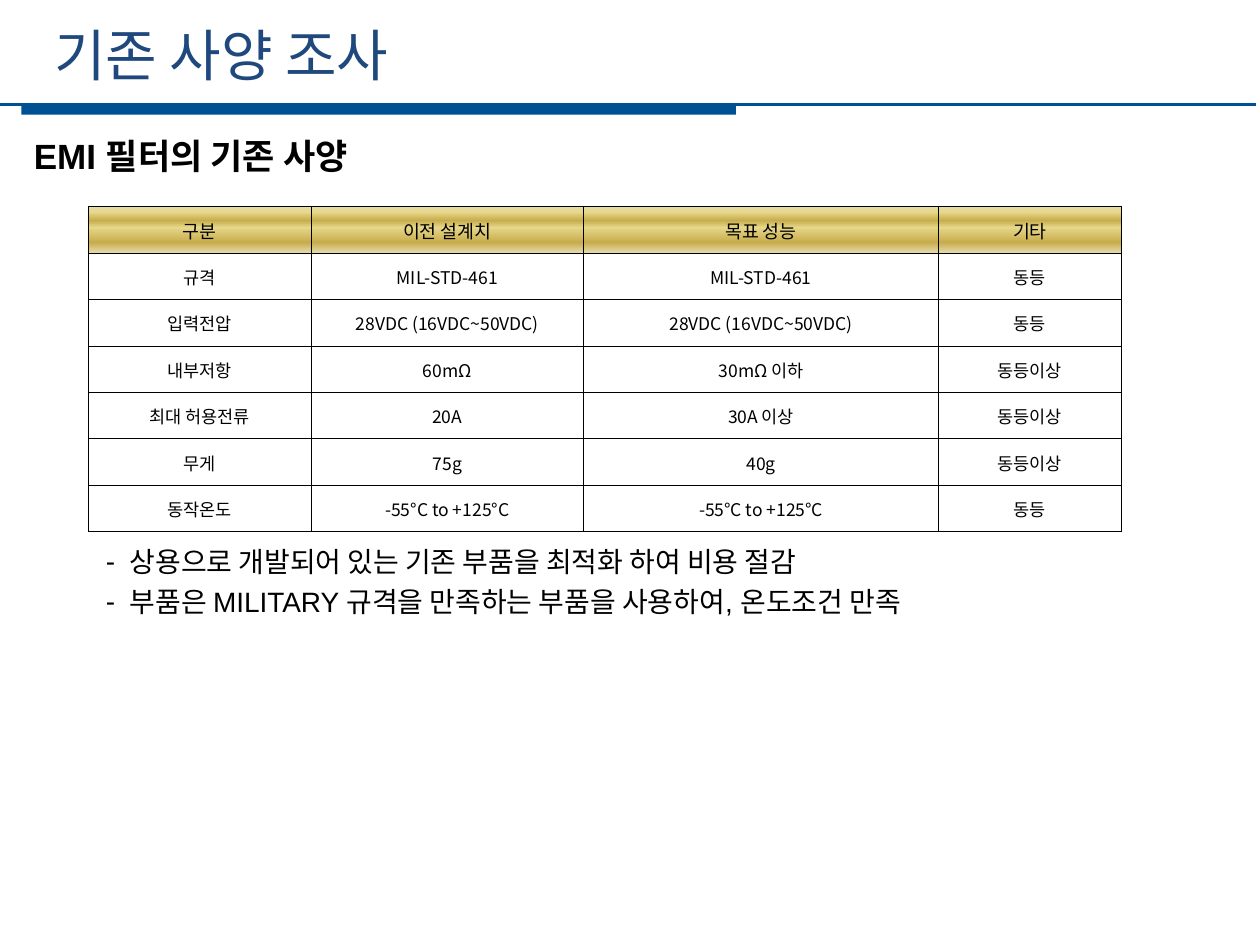
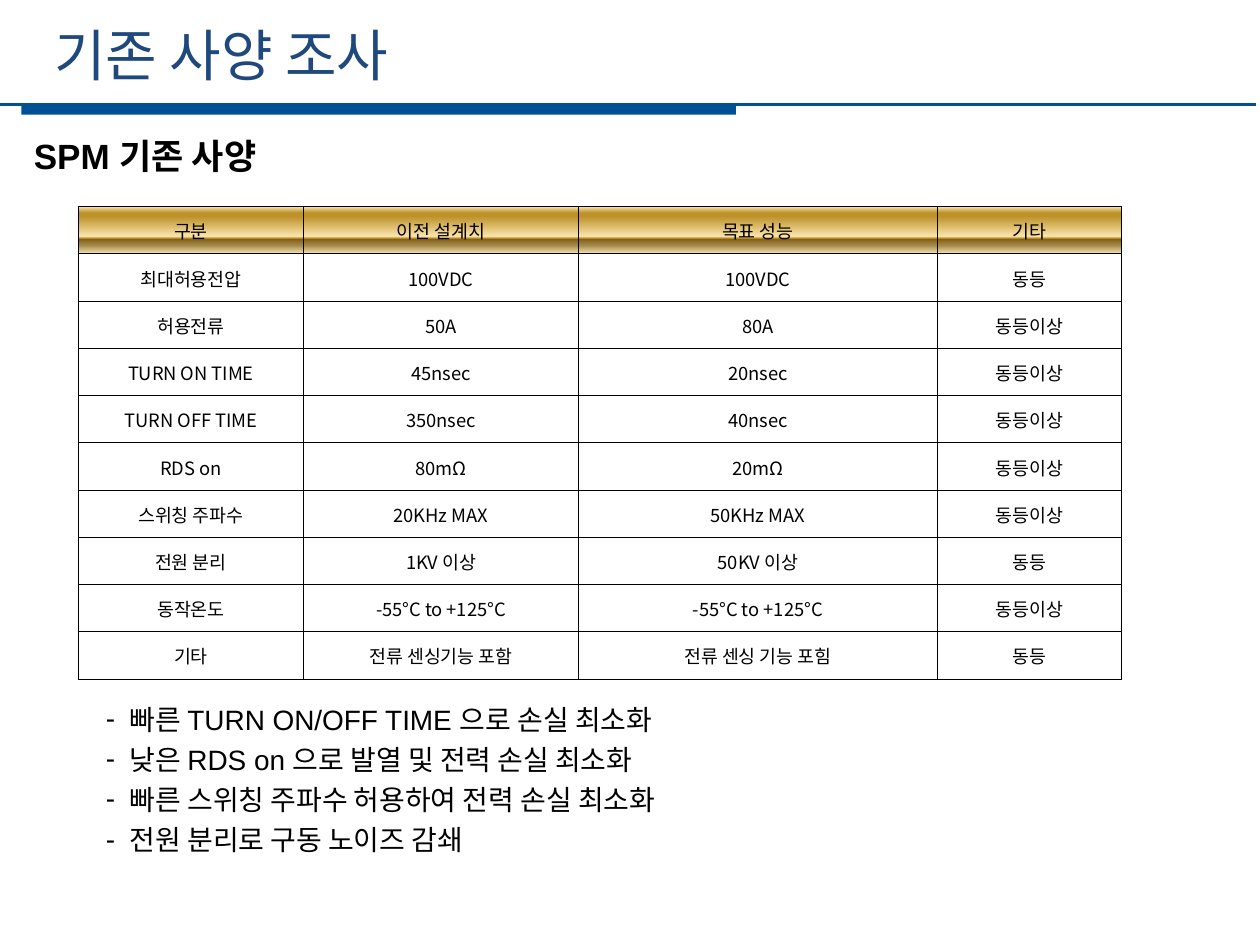
from lxml.etree import SubElement
from pptx import Presentation
from pptx.dml.color import RGBColor
from pptx.enum.shapes import MSO_CONNECTOR, MSO_SHAPE
from pptx.enum.text import MSO_ANCHOR, MSO_AUTO_SIZE, PP_ALIGN
from pptx.oxml.ns import qn
from pptx.util import Inches, Pt

KOREAN, LATIN = "Noto Sans CJK KR", "Arial"
BLUE, NAVY, BLACK = "005094", "1F497D", "000000"
PALE_GOLD = [(0, "E6DCAC"), (12, "E6D78A"), (30, "C7AC4C"), (45, "E6D78A"),
             (77, "C7AC4C"), (100, "E6DCAC")]
DEEP_GOLD = [(0, "FBE4AE"), (13, "BD922A"), (21, "BD922A"), (63, "FBE4AE"),
             (67, "BD922A"), (69, "835E17"), (82, "A28949"), (100, "FAE3B7")]
HEADER = ("구분", "이전 설계치", "목표 성능", "기타")
EMI_ROWS = [
    ("규격", "MIL-STD-461", "MIL-STD-461", "동등"),
    ("입력전압", "28VDC (16VDC~50VDC)", "28VDC (16VDC~50VDC)", "동등"),
    ("내부저항", "60mΩ", "30mΩ 이하", "동등이상"),
    ("최대 허용전류", "20A", "30A 이상", "동등이상"),
    ("무게", "75g", "40g", "동등이상"),
    ("동작온도", "-55°C to +125°C", "-55°C to +125°C", "동등"),
]
SPM_ROWS = [
    ("최대허용전압", "100VDC", "100VDC", "동등"),
    ("허용전류", "50A", "80A", "동등이상"),
    ("TURN ON TIME", "45nsec", "20nsec", "동등이상"),
    ("TURN OFF TIME", "350nsec", "40nsec", "동등이상"),
    ("RDS on", "80mΩ", "20mΩ", "동등이상"),
    ("스위칭 주파수", "20KHz MAX", "50KHz MAX", "동등이상"),
    ("전원 분리", "1KV 이상", "50KV 이상", "동등"),
    ("동작온도", "-55°C to +125°C", "-55°C to +125°C", "동등이상"),
    ("기타", "전류 센싱기능 포함", "전류 센싱 기능 포힘", "동등"),
]
EMI_NOTES = ["상용으로 개발되어 있는 기존 부품을 최적화 하여 비용 절감",
             "부품은 MILITARY 규격을 만족하는 부품을 사용하여, 온도조건 만족"]
SPM_NOTES = ["빠른 TURN ON/OFF TIME 으로 손실 최소화",
             "낮은 RDS on 으로 발열 및 전력 손실 최소화",
             "빠른 스위칭 주파수 허용하여 전력 손실 최소화",
             "전원 분리로 구동 노이즈 감쇄"]


def rgb(value):
    """Turn a hex string into a colour."""
    return RGBColor.from_string(value)


def place(sp, box):
    """Move and size a shape to a box in inches."""
    sp.left, sp.top, sp.width, sp.height = map(Inches, box)


def write(tf, lines, size=16, font=LATIN, color=BLACK, bold=False,
          align=PP_ALIGN.LEFT, anchor=MSO_ANCHOR.TOP, spacing=None, bullet=None):
    """Fill a text frame with formatted paragraphs."""
    tf.word_wrap = True
    tf.vertical_anchor = anchor
    for i, text in enumerate(lines):
        p = tf.paragraphs[0] if i == 0 else tf.add_paragraph()
        p.alignment = align
        p.space_before = Pt(0)
        if spacing:
            p.line_spacing = Pt(spacing)
        if bullet:
            pPr = p._p.get_or_add_pPr()
            pPr.set("marL", str(Inches(0.31)))
            pPr.set("indent", str(Inches(-0.19)))
            SubElement(pPr, qn("a:buChar"), char=bullet)
        r = p.add_run()
        r.text = text
        r.font.size, r.font.name, r.font.bold = Pt(size), font, bold
        r.font.color.rgb = rgb(color)
        SubElement(r._r.get_or_add_rPr(), qn("a:ea"), typeface=KOREAN)


def add_colour(parent, value):
    """Append a hex colour element."""
    SubElement(parent, qn("a:srgbClr"), val=value)


def add_borders(tcPr):
    """Give a cell thin black borders."""
    for side in ("lnL", "lnR", "lnT", "lnB"):
        ln = SubElement(tcPr, qn(f"a:{side}"), w=str(Pt(0.5)))
        add_colour(SubElement(ln, qn("a:solidFill")), BLACK)


def add_gradient(tcPr, stops):
    """Give a cell a vertical gradient."""
    grad = SubElement(tcPr, qn("a:gradFill"), rotWithShape="1")
    gsLst = SubElement(grad, qn("a:gsLst"))
    for pos, value in stops:
        add_colour(SubElement(gsLst, qn("a:gs"), pos=str(pos * 1000)), value)
    SubElement(grad, qn("a:lin"), ang="5400000", scaled="0")


def add_band(s, left, top):
    """Draw the rule and bar under the title."""
    bar = s.shapes.add_shape(MSO_SHAPE.RECTANGLE, Inches(left + 0.2), Inches(top),
                             Inches(5.67), Inches(0.08))
    bar.shadow.inherit = False
    bar.fill.solid()
    bar.fill.fore_color.rgb = rgb(BLUE)
    bar.line.fill.background()
    rule = s.shapes.add_connector(MSO_CONNECTOR.STRAIGHT, Inches(left), Inches(top),
                                  Inches(left + 10), Inches(top))
    rule.line.color.rgb = rgb(BLUE)
    rule.line.width = Pt(1.25)
    SubElement(rule._element.spPr, qn("a:effectLst"))


def add_spec_table(s, box, rows, widths, stops, size):
    """Add the comparison table with a gradient header."""
    rows = [HEADER, *rows]
    table = s.shapes.add_table(len(rows), len(HEADER), *map(Inches, box)).table
    table.first_row = table.horz_banding = False
    for col, width in zip(table.columns, widths):
        col.width = Inches(width)
    for i, row in enumerate(rows):
        table.rows[i].height = Inches(box[3] / len(rows))
        for j, text in enumerate(row):
            cell = table.cell(i, j)
            cell.margin_left = cell.margin_right = cell.margin_top = Inches(0.01)
            cell.margin_bottom = 0
            cell.vertical_anchor = MSO_ANCHOR.MIDDLE
            write(cell.text_frame, [text], size=size if i else 10.5, font=KOREAN,
                  align=PP_ALIGN.CENTER, anchor=None)
            cell.vertical_anchor = MSO_ANCHOR.MIDDLE
            tcPr = cell._tc.get_or_add_tcPr()
            add_borders(tcPr)
            if i:
                cell.fill.background()
            else:
                add_gradient(tcPr, stops)


def add_spec_slide(prs, heading, notes, notes_box, **table):
    """Build a slide with title, heading, table and notes."""
    s = prs.slides.add_slide(prs.slide_layouts[1])
    add_band(s, -0.03, 0.83)
    title, body = s.shapes.title, s.placeholders[1]
    place(title, (0.33, 0.11, 8.96, 0.64))
    title.text_frame.auto_size = MSO_AUTO_SIZE.NONE
    write(title.text_frame, ["기존 사양 조사"], size=32, font=KOREAN, color=NAVY)
    sp = s.shapes.add_textbox(*map(Inches, (0.17, 1.03, 9.52, 0.42)))
    write(sp.text_frame, [heading], size=20, bold=True, spacing=23)
    add_spec_table(s, **table)
    place(body, notes_box)
    body.text_frame.auto_size = MSO_AUTO_SIZE.NONE
    write(body.text_frame, notes, spacing=23, bullet="-")


def main():
    """Build and save the deck."""
    prs = Presentation()
    prs.slide_width, prs.slide_height = Inches(10), Inches(7.5)
    add_spec_slide(prs, "EMI 필터의 기존 사양", EMI_NOTES, (0.62, 4.22, 9.52, 1.07),
                   box=(0.7, 1.64, 8.2, 2.58), rows=EMI_ROWS,
                   widths=(1.77, 2.16, 2.82, 1.45), stops=PALE_GOLD, size=10)
    add_spec_slide(prs, "SPM 기존 사양", SPM_NOTES, (0.62, 5.47, 9.52, 1.39),
                   box=(0.62, 1.64, 8.28, 3.75), rows=SPM_ROWS,
                   widths=(1.79, 2.18, 2.85, 1.46), stops=DEEP_GOLD, size=10.5)
    prs.save("out.pptx")


if __name__ == "__main__":
    main()
